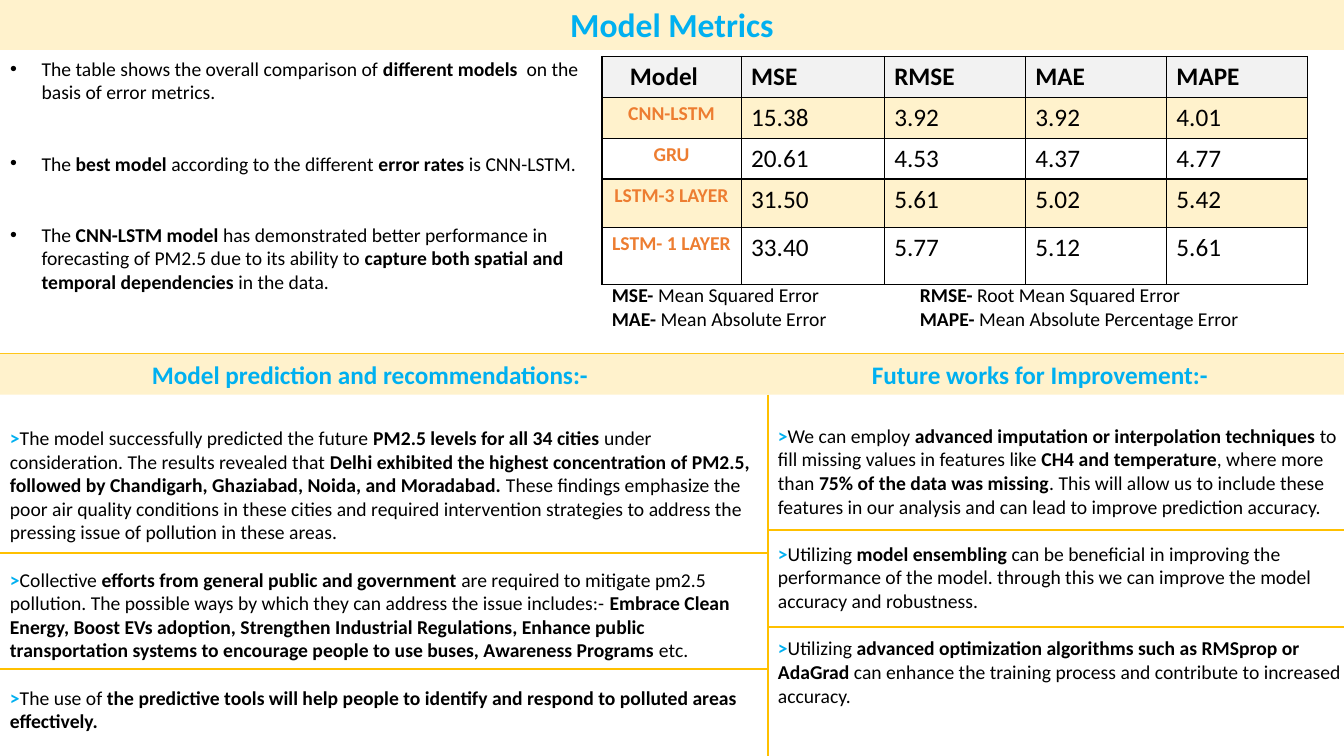
from lxml.etree import SubElement
from pptx import Presentation
from pptx.dml.color import RGBColor
from pptx.enum.shapes import MSO_CONNECTOR as Connector, MSO_SHAPE as Shape
from pptx.enum.text import MSO_ANCHOR as Anchor, MSO_AUTO_SIZE as AutoSize, PP_ALIGN as Align
from pptx.oxml import parse_xml
from pptx.oxml.ns import nsdecls, qn
from pptx.util import Pt

CREAM = RGBColor(0xFF, 0xF2, 0xCC)
GREY = RGBColor(0xF2, 0xF2, 0xF2)
BLUE = RGBColor(0x00, 0xB0, 0xF0)
ORANGE = RGBColor(0xED, 0x7D, 0x31)
GOLD = RGBColor(0xFF, 0xC0, 0x00)
BLACK = RGBColor(0, 0, 0)

# Words between ** marks are bold.
TITLE = "Model Metrics"
FINDINGS = [
    "The table shows the overall comparison of **different models  **on the basis of error metrics.",
    "The **best model **according to the different **error rates** is CNN-LSTM.",
    "The **CNN-LSTM model **has demonstrated better performance in forecasting of PM2.5 "
    "due to its ability to **capture both spatial and temporal dependencies** in the data.",
]
METRICS = [
    ("Model", "MSE", "RMSE", "MAE", "MAPE"),
    ("CNN-LSTM", "15.38", "3.92", "3.92", "4.01"),
    ("GRU", "20.61", "4.53", "4.37", "4.77"),
    ("LSTM-3 LAYER", "31.50", "5.61", "5.02", "5.42"),
    ("LSTM- 1 LAYER", "33.40", "5.77", "5.12", "5.61"),
]
DEFINITIONS = [
    "**MSE- **Mean Squared Error\t**RMSE- **Root Mean Squared Error",
    "**MAE- **Mean Absolute Error\t**MAPE- **Mean Absolute Percentage Error",
]
SECTIONS = "**\tModel prediction and recommendations:-\tFuture works for Improvement:-**"
RECOMMENDATIONS = [
    "The model successfully predicted the future **PM2.5 levels for all 34 cities **under "
    "consideration. The results revealed that **Delhi exhibited the highest concentration of "
    "PM2.5, followed by Chandigarh, Ghaziabad, Noida, and Moradabad.** These findings emphasize "
    "the poor air quality conditions in these cities and required intervention strategies to "
    "address the pressing issue of pollution in these areas.",
    "Collective **efforts from general public and government **are required to mitigate pm2.5 "
    "pollution. The possible ways by which they can address the issue includes:- **Embrace Clean "
    "Energy, Boost EVs adoption, Strengthen Industrial Regulations, Enhance public transportation "
    "systems to encourage people to use buses, Awareness Programs** etc.",
    "The use of **the predictive tools will help people to identify and respond to polluted "
    "areas effectively.**",
]
FUTURE_WORK = [
    "We can employ **advanced imputation or interpolation techniques** to fill missing values in "
    "features like** CH4 and temperature**, where more than **75% of the data was missing**. This "
    "will allow us to include these features in our analysis and can lead to improve prediction "
    "accuracy.",
    "Utilizing **model ensembling** can be beneficial in improving the performance of the model. "
    "through this we can improve the model accuracy and robustness.",
    "Utilizing **advanced optimization algorithms such as RMSprop or AdaGrad** can enhance the "
    "training process and contribute to increased accuracy.",
]

WIDTH, HEIGHT = 960, 540
DIVIDER = 548.6
BAND_TOP, BAND_HEIGHT = 252.7, 29.2
BAND_BOTTOM = BAND_TOP + BAND_HEIGHT
LINE_HEIGHT = 17.1
TABLE_LEFT, TABLE_TOP = 430, 40.3
COLUMN_WIDTHS = [99.4, 102.2, 100.8, 100.8, 100.8]
ROW_HEIGHTS = [29.2, 29.2, 29.2, 34.4, 40.8]


def add_run(paragraph, text, size, color, bold):
    run = paragraph.add_run()
    run.text = text
    run.font.name, run.font.size, run.font.bold = "Calibri", Pt(size), bold
    run.font.color.rgb = color


def write(frame, lines, size=14, color=BLACK, gap=0, marker="", tabs=()):
    """Fill a text frame, one paragraph a line, with gap points between them."""
    frame.word_wrap = True
    frame.auto_size = AutoSize.NONE
    for index, line in enumerate(lines):
        paragraph = frame.add_paragraph() if index else frame.paragraphs[0]
        paragraph.space_before = Pt(0)
        paragraph.space_after = Pt(gap if index < len(lines) - 1 else 0)
        if tabs:
            tab_list = SubElement(paragraph._p.get_or_add_pPr(), qn("a:tabLst"))
            for tab in tabs:
                SubElement(tab_list, qn("a:tab"), pos=str(Pt(tab)), algn="l")
        if marker:
            add_run(paragraph, marker, size, BLUE, True)
        for part, text in enumerate(line.split("**")):
            if text:
                add_run(paragraph, text, size, color, part % 2 == 1)


def place(shape, left, top, width, height):
    shape.left, shape.top, shape.width, shape.height = map(Pt, (left, top, width, height))


def add_text(slide, left, top, width, height, lines, **style):
    box = slide.shapes.add_textbox(Pt(left), Pt(top), Pt(width), Pt(height))
    write(box.text_frame, lines, **style)


def add_rule(slide, x1, y1, x2, y2):
    rule = slide.shapes.add_connector(Connector.STRAIGHT, Pt(x1), Pt(y1), Pt(x2), Pt(y2))
    rule.line.color.rgb = GOLD
    rule.line.width = Pt(1.5)
    SubElement(rule._element.spPr, qn("a:effectLst"))


def add_borders(cell):
    properties = cell._tc.get_or_add_tcPr()
    for index, side in enumerate(("lnL", "lnR", "lnT", "lnB")):
        properties.insert(index, parse_xml(
            f'<a:{side} {nsdecls("a")} w="{Pt(1)}"><a:solidFill>'
            f'<a:srgbClr val="{BLACK}"/></a:solidFill></a:{side}>'))


def add_metrics_table(slide):
    table = slide.shapes.add_table(
        len(METRICS), len(METRICS[0]), Pt(TABLE_LEFT), Pt(TABLE_TOP),
        Pt(sum(COLUMN_WIDTHS)), Pt(sum(ROW_HEIGHTS))).table
    table.first_row = table.horz_banding = False
    for column, width in zip(table.columns, COLUMN_WIDTHS):
        column.width = Pt(width)
    for row, height in zip(table.rows, ROW_HEIGHTS):
        row.height = Pt(height)
    for row, values in enumerate(METRICS):
        for column, value in enumerate(values):
            cell = table.cell(row, column)
            paragraph = cell.text_frame.paragraphs[0]
            is_model = row > 0 and column == 0
            add_run(paragraph, value, 14 if is_model else 18,
                    ORANGE if is_model else BLACK, row == 0 or column == 0)
            if is_model:
                paragraph.alignment = Align.CENTER
            if row % 2 or row == 0:
                cell.fill.solid()
                cell.fill.fore_color.rgb = CREAM if row else GREY
            else:
                cell.fill.background()
            add_borders(cell)
    table.cell(0, 0).margin_left = Pt(20)


def main():
    presentation = Presentation()
    presentation.slide_width, presentation.slide_height = Pt(WIDTH), Pt(HEIGHT)
    slide = presentation.slides.add_slide(presentation.slide_layouts[1])

    title, findings = slide.shapes.title, slide.placeholders[1]
    place(title, 0, -0.7, WIDTH, 36.4)
    title.fill.solid()
    title.fill.fore_color.rgb = CREAM
    write(title.text_frame, [f"**{TITLE}**"], size=24, color=BLUE)
    title.text_frame.vertical_anchor = Anchor.MIDDLE
    title.text_frame.paragraphs[0].alignment = Align.CENTER

    place(findings, 0, 36.7, TABLE_LEFT, 177)
    write(findings.text_frame, FINDINGS, gap=2 * LINE_HEIGHT)
    for paragraph in findings.text_frame.paragraphs:
        properties = paragraph._p.get_or_add_pPr()
        properties.set("marL", str(Pt(22.5)))
        properties.set("indent", str(Pt(-22.5)))

    add_metrics_table(slide)
    add_text(slide, TABLE_LEFT, 198.7, 504, 41, DEFINITIONS, tabs=[220])

    add_rule(slide, 0, BAND_TOP, WIDTH, BAND_TOP)
    band = slide.shapes.add_shape(Shape.RECTANGLE, 0, Pt(BAND_TOP), Pt(WIDTH), Pt(BAND_HEIGHT))
    band.shadow.inherit = False
    band.fill.solid()
    band.fill.fore_color.rgb = CREAM
    band.line.fill.background()
    write(band.text_frame, [SECTIONS], size=18, color=BLUE, tabs=[101.4, 615.7])
    band.text_frame.vertical_anchor = Anchor.MIDDLE
    band.text_frame.paragraphs[0].alignment = Align.LEFT

    add_text(slide, 0, 300.8, DIVIDER, 228, RECOMMENDATIONS, gap=LINE_HEIGHT, marker=">")
    add_text(slide, DIVIDER, 299.2, 416.9, 210, FUTURE_WORK, gap=LINE_HEIGHT, marker=">")
    add_rule(slide, DIVIDER, BAND_BOTTOM, DIVIDER, HEIGHT)
    for y in (395.3, 478.1):
        add_rule(slide, 0, y, DIVIDER, y)
    for y in (378.7, 447.8):
        add_rule(slide, DIVIDER, y, WIDTH, y)

    presentation.save("out.pptx")


if __name__ == "__main__":
    main()
